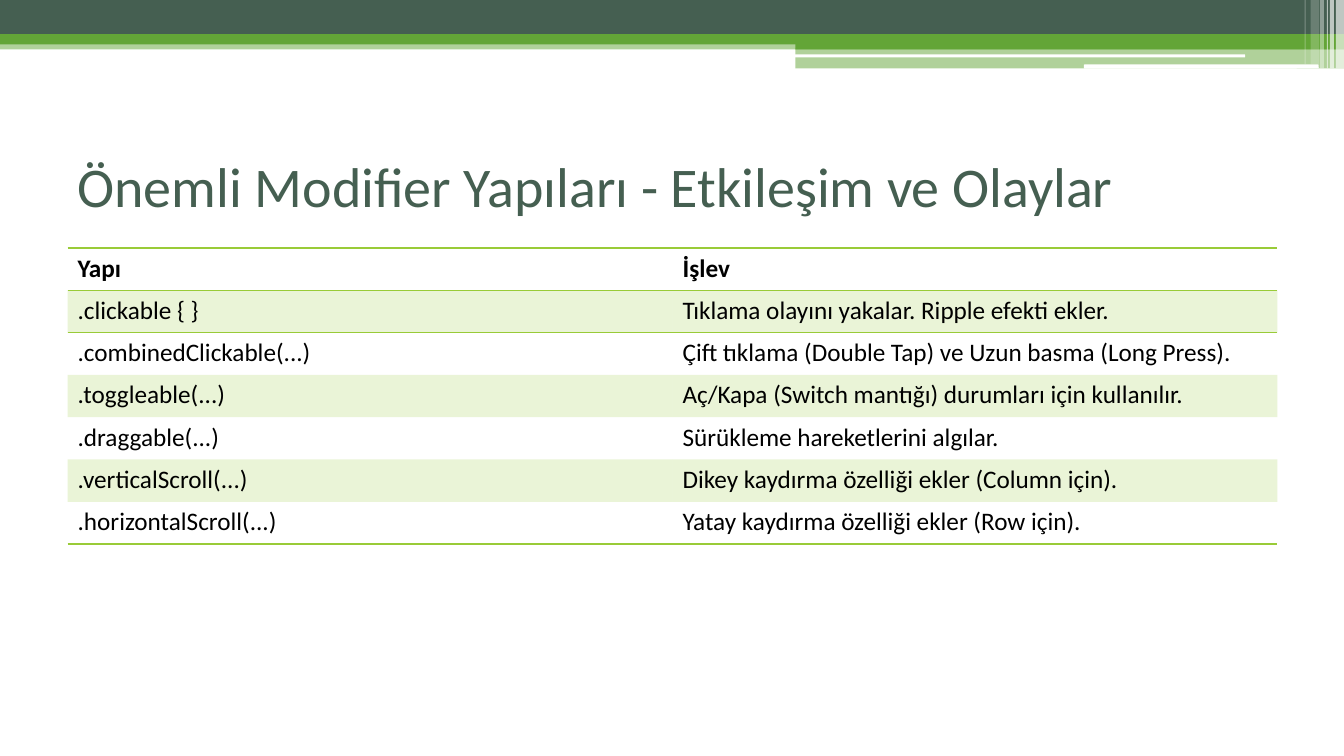
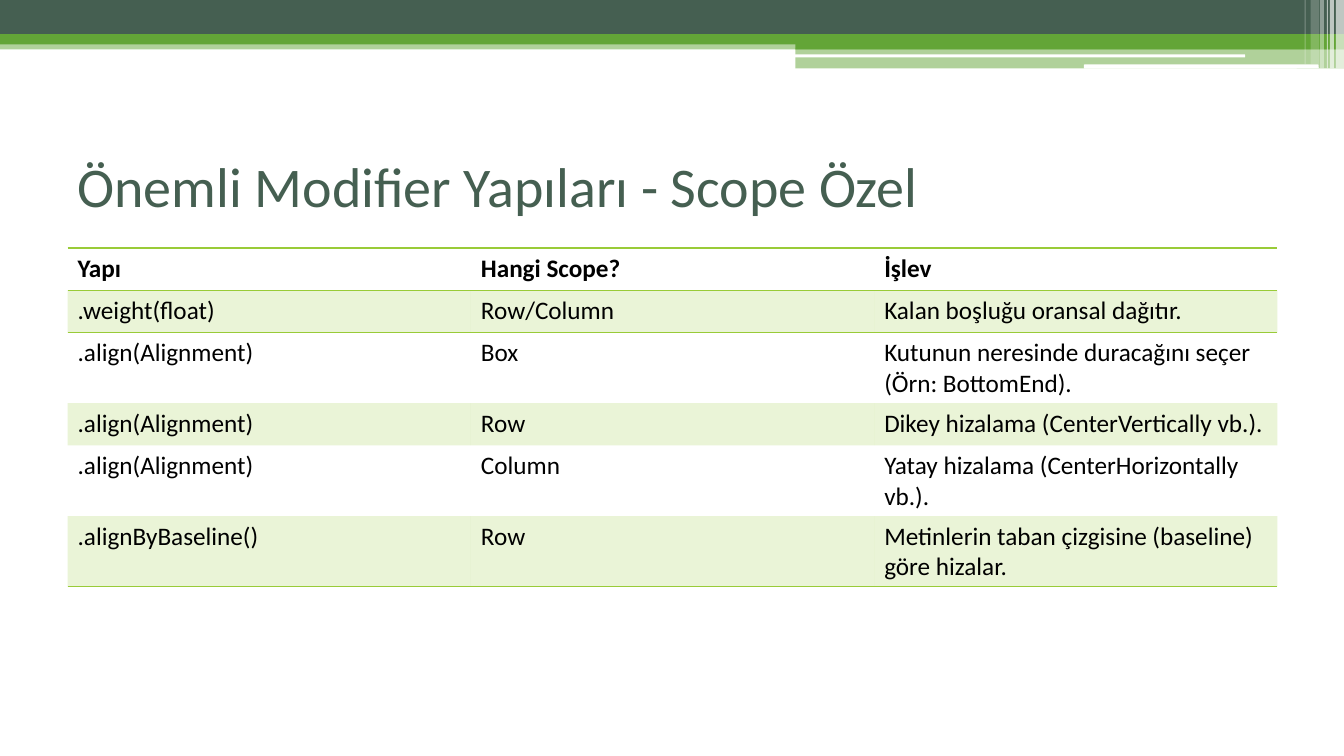
from lxml.etree import SubElement
from pptx import Presentation
from pptx.dml.color import RGBColor
from pptx.enum.shapes import MSO_SHAPE
from pptx.enum.text import MSO_ANCHOR
from pptx.oxml import parse_xml
from pptx.oxml.ns import nsdecls, qn
from pptx.util import Inches, Pt

FONT = "Calibri"
DARK, GREEN, LIME = "455F51", "63A537", "99CB38"
WHITE, BLACK = "FFFFFF", "000000"
PLAIN = "{2D5ABB26-0587-4C30-8999-92F81FD0307C}"
LEFT, WIDTH, ROW = 0.67, 12, 0.42

RECT, ROUND = MSO_SHAPE.RECTANGLE, MSO_SHAPE.ROUNDED_RECTANGLE
BANDS = [
    (RECT, 0, 0.4, 13.33, 0.09, GREEN, 50),
    (RECT, 0, 0, 13.33, 0.34, DARK, 100),
    (RECT, 0, 0.34, 13.33, 0.1, GREEN, 100),
    (RECT, 7.89, 0.39, 5.44, 0.1, GREEN, 100),
    (RECT, 7.89, 0.48, 5.44, 0.2, GREEN, 50),
    (ROUND, 7.88, 0.54, 4.47, 0.03, WHITE, 100),
    (ROUND, 10.75, 0.64, 2.33, 0.04, WHITE, 100),
    (RECT, 13.25, 0, 0.08, 0.68, WHITE, 65),
    (RECT, 13.19, 0, 0.04, 0.68, WHITE, 65),
    (RECT, 13.16, 0, 0.01, 0.68, WHITE, 60),
    (RECT, 13.09, 0, 0.04, 0.68, WHITE, 40),
    (RECT, 13, 0, 0.08, 0.64, WHITE, 20),
    (RECT, 12.94, 0, 0.01, 0.64, WHITE, 30),
]

PAGES = [
    ("Önemli Modifier Yapıları - Etkileşim ve Olaylar", [
        ("Yapı", "İşlev"),
        (".clickable { }", "Tıklama olayını yakalar. Ripple efekti ekler."),
        (".combinedClickable(...)",
         "Çift tıklama (Double Tap) ve Uzun basma (Long Press)."),
        (".toggleable(...)",
         "Aç/Kapa (Switch mantığı) durumları için kullanılır."),
        (".draggable(...)", "Sürükleme hareketlerini algılar."),
        (".verticalScroll(...)", "Dikey kaydırma özelliği ekler (Column için)."),
        (".horizontalScroll(...)", "Yatay kaydırma özelliği ekler (Row için)."),
    ]),
    ("Önemli Modifier Yapıları - Scope Özel", [
        ("Yapı", "Hangi Scope?", "İşlev"),
        (".weight(float)", "Row/Column", "Kalan boşluğu oransal dağıtır."),
        (".align(Alignment)", "Box",
         "Kutunun neresinde duracağını seçer (Örn: BottomEnd)."),
        (".align(Alignment)", "Row", "Dikey hizalama (CenterVertically vb.)."),
        (".align(Alignment)", "Column",
         "Yatay hizalama (CenterHorizontally vb.)."),
        (".alignByBaseline()", "Row",
         "Metinlerin taban çizgisine (baseline) göre hizalar."),
    ]),
]


def paint(fill, color, alpha=100):
    fill.solid()
    fill.fore_color.rgb = RGBColor.from_string(color)
    if alpha < 100:
        tone = fill._xPr.find(qn("a:solidFill")).find(qn("a:srgbClr"))
        SubElement(tone, qn("a:alpha")).set("val", str(alpha * 1000))


def write(frame, text, size=18, color=BLACK, bold=False):
    frame.word_wrap = True
    run = frame.paragraphs[0].add_run()
    run.text = text
    run.font.name = FONT
    run.font.size = Pt(size)
    run.font.bold = bold
    paint(run.font.fill, color)


deck = Presentation()
deck.slide_width, deck.slide_height = Inches(13.33), Inches(7.5)

for title, rows in PAGES:
    slide = deck.slides.add_slide(deck.slide_layouts[6])

    for kind, x, y, w, h, color, alpha in BANDS:
        band = slide.shapes.add_shape(
            kind, Inches(x), Inches(y), Inches(w), Inches(h))
        band.shadow.inherit = False
        band.line.fill.background()
        paint(band.fill, color, alpha)

    box = slide.shapes.add_textbox(
        Inches(LEFT), Inches(1.25), Inches(WIDTH), Inches(1.17))
    box.text_frame.vertical_anchor = MSO_ANCHOR.MIDDLE
    write(box.text_frame, title, size=40, color=DARK)

    grid = slide.shapes.add_table(
        len(rows), len(rows[0]), Inches(LEFT), Inches(2.46),
        Inches(WIDTH), Inches(ROW * len(rows))).table
    grid._tbl.tblPr.find(qn("a:tableStyleId")).text = PLAIN

    for r, row in enumerate(rows):
        grid.rows[r].height = Inches(ROW)
        edges = {0: ["lnT", "lnB"], 1: ["lnT"], len(rows) - 1: ["lnB"]}.get(r, [])
        for c, text in enumerate(row):
            cell = grid.cell(r, c)
            write(cell.text_frame, text, bold=r == 0)
            if r % 2:
                paint(cell.fill, LIME, 20)
            else:
                cell.fill.background()
            for i, edge in enumerate(edges):
                cell._tc.tcPr.insert(i, parse_xml(
                    f'<a:{edge} {nsdecls("a")} w="12700"><a:solidFill>'
                    f'<a:srgbClr val="{LIME}"/></a:solidFill></a:{edge}>'))

deck.save("out.pptx")
